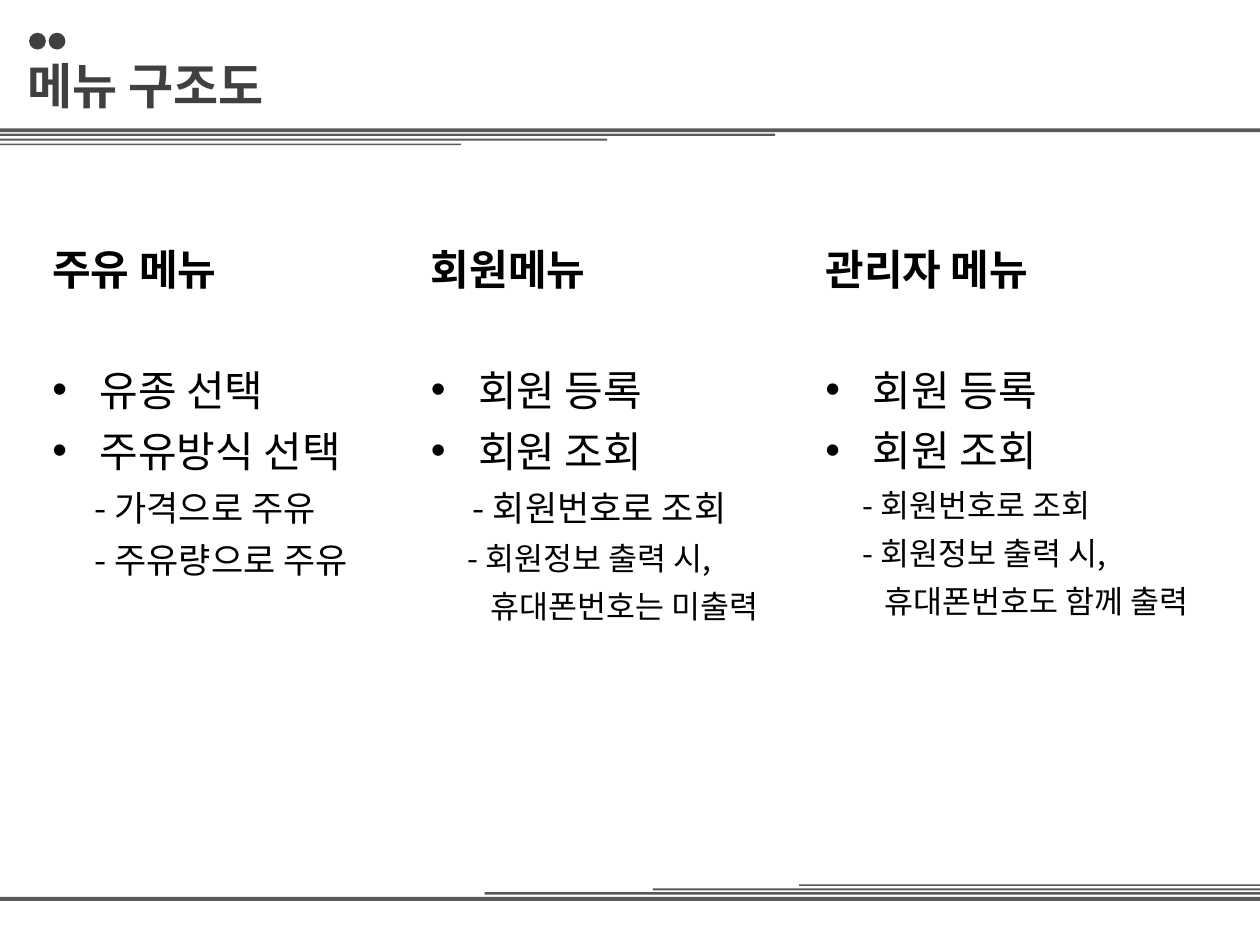
"""Build the menu structure slide with three columns of menu items."""
from lxml import etree
from pptx import Presentation
from pptx.dml.color import RGBColor
from pptx.enum import shapes, text
from pptx.oxml import ns
from pptx.util import Pt

COLORS = {"text": "000000", "title": "404040", "bar": "595959"}
FONT = "Noto Sans CJK KR"


def add_text(p, words, size, color, bold=False):
    r = p.add_run()
    r.text = words
    r.font.color.rgb = RGBColor.from_string(COLORS[color])
    for name, value in {"name": FONT, "size": Pt(size), "bold": bold}.items():
        setattr(r.font, name, value)
    etree.SubElement(r.font._element, ns.qn("a:ea"), typeface=FONT)
    p.alignment = text.PP_ALIGN.LEFT


def add_shape(kind, left, top, width, height, color):
    sp = s.shapes.add_shape(kind, Pt(left), Pt(top), Pt(width), Pt(height))
    sp.shadow.inherit = False
    sp.fill.solid()
    sp.fill.fore_color.rgb = RGBColor.from_string(COLORS[color])
    sp.line.fill.background()


prs = Presentation()
prs.slide_width, prs.slide_height = Pt(720), Pt(540)
s = prs.slides.add_slide(prs.slide_layouts[4])
holders = {sp.placeholder_format.idx: sp for sp in s.placeholders}

bars = [(720, 73.4, 512.6, 2.2), (443, 76.3, 509.8, 1.4),
        (347, 79.2, 507.6, 1.2), (263.5, 82.1, 505.4, 0.9)]
for width, top, bottom, height in bars:
    add_shape(shapes.MSO_SHAPE.RECTANGLE, 0, top, width, height, "bar")
    add_shape(shapes.MSO_SHAPE.RECTANGLE, 720 - width, bottom, width, height, "bar")
for left in (16.6, 27.8):
    add_shape(shapes.MSO_SHAPE.OVAL, left, 18.7, 9.6, 9.6, "title")

title = holders[0]
add_text(title.text_frame.paragraphs[0], "메뉴 구조도", 28, "title", True)

columns = [
    (holders[1], holders[2], 22.7, 214, "주유 메뉴",
     [("유종 선택", 24, 0), ("주유방식 선택", 24, 0),
      ("- 가격으로 주유", 20, 24), ("- 주유량으로 주유", 20, 24)]),
    (holders[3], holders[4], 239, 226, "회원메뉴",
     [("회원 등록", 24, 0), ("회원 조회", 24, 0), ("- 회원번호로 조회", 20, 24),
      ("- 회원정보 출력 시,", 18, 21), ("휴대폰번호는 미출력", 18, 34)]),
    (s.shapes.add_textbox(0, 0, 0, 0), s.shapes.add_textbox(0, 0, 0, 0),
     464.6, 226, "관리자 메뉴",
     [("회원 등록", 24, 0), ("회원 조회", 24, 0), ("- 회원번호로 조회", 18, 21),
      ("- 회원정보 출력 시,", 18, 21), ("휴대폰번호도 함께 출력", 18, 34)]),
]
frames = [(title, 8.6, 28, 199, 41, text.MSO_ANCHOR.TOP)]
for head, body, left, width, heading, items in columns:
    frames += [(head, left, 121, width, 50.4, text.MSO_ANCHOR.BOTTOM),
               (body, left, 204.5, width, 180, text.MSO_ANCHOR.TOP)]
    p = head.text_frame.paragraphs[0]
    p.space_before = Pt(0)
    add_text(p, heading, 24, "text", True)
    for i, (words, size, indent) in enumerate(items):
        p = body.text_frame.paragraphs[0] if i == 0 else body.text_frame.add_paragraph()
        p.space_before = Pt(6 if i else 0)
        pPr = p._p.get_or_add_pPr()
        pPr.set("marL", str(0 if indent else Pt(27)))
        pPr.set("indent", str(Pt(indent or -27)))
        if indent:
            etree.SubElement(pPr, ns.qn("a:buNone"))
        else:
            etree.SubElement(pPr, ns.qn("a:buFont"), typeface="Arial")
            etree.SubElement(pPr, ns.qn("a:buChar"), char="•")
        add_text(p, words, size, "text")

for sp, left, top, width, height, anchor in frames:
    box = {"left": left, "top": top, "width": width, "height": height}
    for name, value in box.items():
        setattr(sp, name, Pt(value))
    layout = {"word_wrap": True, "auto_size": text.MSO_AUTO_SIZE.NONE,
              "vertical_anchor": anchor}
    for name, value in layout.items():
        setattr(sp.text_frame, name, value)

prs.save("out.pptx")
